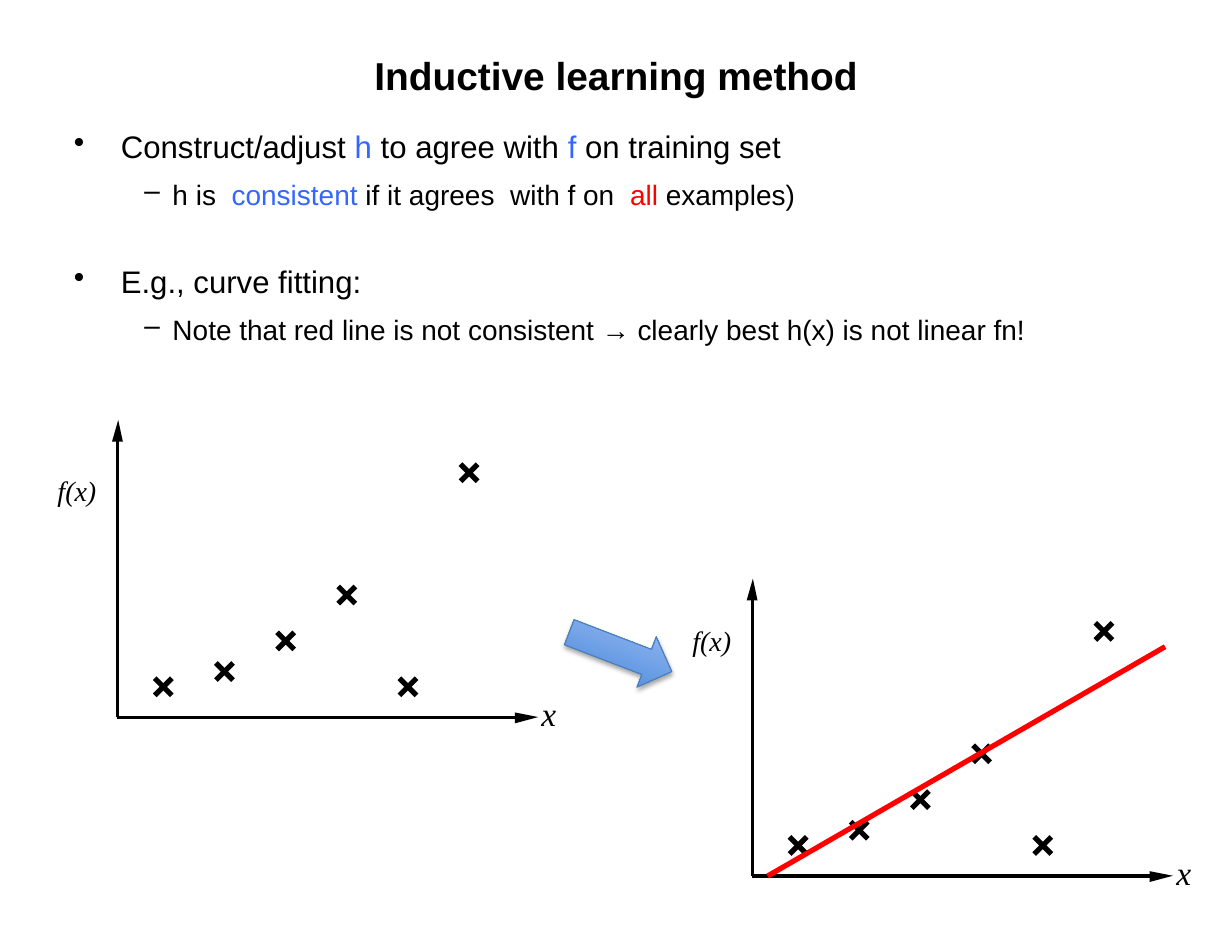
import pptx
import pptx.util
import pptx.dml.color
import pptx.enum.dml
import pptx.enum.shapes
import pptx.enum.text
import pptx.oxml
import pptx.oxml.ns
from lxml import etree

Pt = pptx.util.Pt
COLORS = {"black": "000000", "blue": "3366FF", "red": "FF0000",
          "arrow_start": "3F80CE", "arrow_end": "A4C4FF", "arrow_edge": "4B7EBC"}
UNIT = 9.83  # plot grid step
AXIS_WIDTH, HEAVY_WIDTH = 2.23, 3.35
HEAD_LENGTH, HEAD_HALF, HEAD_OVERHANG = 14.6, 3.6, 4.6
POINTS = [(3, 2), (7, 3), (11, 5), (15, 8), (19, 2), (23, 16)]
# level: (bullet, left margin, hanging indent, space before, font size)
LEVELS = [("•", 30.2, 30.2, 4, 20), ("–", 63.4, 18, 8, 18)]
SECTION_GAP = 33
BODY = [
    (0, [("Construct/adjust ", "black"), ("h", "blue"), (" to agree with ", "black"),
         ("f", "blue"), (" on training set", "black")]),
    (1, [("h is  ", "black"), ("consistent", "blue"),
         (" if it agrees  with f on  ", "black"), ("all", "red"),
         (" examples)", "black")]),
    (0, [("E.g., curve fitting:", "black")]),
    (1, [("Note that red line is not consistent → clearly best h(x) is not linear fn!",
          "black")]),
]


def rgb(name):
    return pptx.dml.color.RGBColor.from_string(COLORS[name])


def add_text_box(slide, left, top, width, height, inset=(7.2, 3.6), wrap=True):
    box = slide.shapes.add_textbox(Pt(left), Pt(top), Pt(width), Pt(height))
    frame = box.text_frame
    frame.word_wrap = wrap
    frame.margin_left = frame.margin_right = Pt(inset[0])
    frame.margin_top = frame.margin_bottom = Pt(inset[1])
    return frame


def set_font(paragraph, name, size, bold=False, italic=False):
    font = paragraph.font
    font.name, font.size, font.bold, font.italic = name, Pt(size), bold, italic
    font.color.rgb = rgb("black")


def add_title(slide, text):
    frame = add_text_box(slide, 39.6, 24.5, 712.8, 47.5, (7.9, 4.3))
    frame.vertical_anchor = pptx.enum.text.MSO_ANCHOR.MIDDLE
    paragraph = frame.paragraphs[0]
    paragraph.text = text
    paragraph.alignment = pptx.enum.text.PP_ALIGN.CENTER
    set_font(paragraph, "Arial", 25, bold=True)


def add_body(slide):
    frame = add_text_box(slide, 39.6, 77.8, 712.8, 468.7, (7.9, 4.3))
    for index, (level, runs) in enumerate(BODY):
        paragraph = frame.add_paragraph() if index else frame.paragraphs[0]
        bullet, margin, hanging, space, size = LEVELS[level]
        paragraph.level = level
        paragraph.space_before = Pt(SECTION_GAP if index and level == 0 else space)
        properties = paragraph._p.get_or_add_pPr()
        properties.set("marL", str(Pt(margin)))
        properties.set("indent", str(-Pt(hanging)))
        etree.SubElement(properties, pptx.oxml.ns.qn("a:buChar"), char=bullet)
        set_font(paragraph, "Arial", size)
        for text, color in runs:
            run = paragraph.add_run()
            run.text = text
            run.font.color.rgb = rgb(color)


def add_label(slide, text, left, top, width, height, size, inset):
    frame = add_text_box(slide, left, top, width, height, inset, wrap=False)
    frame.paragraphs[0].text = text
    set_font(frame.paragraphs[0], "Times New Roman", size, italic=True)


def add_line(slide, start, end, width, color="black"):
    line = slide.shapes.add_connector(
        pptx.enum.shapes.MSO_CONNECTOR.STRAIGHT, *(Pt(value) for value in start + end))
    line.line.width = Pt(width)
    line.line.color.rgb = rgb(color)
    etree.SubElement(line._element.spPr, pptx.oxml.ns.qn("a:effectLst"))


def add_axis(slide, origin, direction, length):
    """Draw an axis and its arrowhead; direction is a unit vector."""
    (x, y), (dx, dy) = origin, direction
    add_line(slide, origin, (x + dx * length, y + dy * length), AXIS_WIDTH)
    tip = length + HEAD_OVERHANG
    base = tip - HEAD_LENGTH
    corners = [(x + dx * along + dy * across, y + dy * along + dx * across)
               for along, across in ((base, -HEAD_HALF), (base, HEAD_HALF), (tip, 0))]
    builder = slide.shapes.build_freeform(*corners[0], scale=Pt(1))
    builder.add_line_segments(corners[1:], close=True)
    head = builder.convert_to_shape()
    head.shadow.inherit = False
    head.fill.solid()
    head.fill.fore_color.rgb = rgb("black")
    head.line.fill.background()


def add_cross(slide, x, y, half=5.5):
    for slope in (1, -1):
        add_line(slide, (x - half, y - slope * half), (x + half, y + slope * half),
                 HEAVY_WIDTH)


def add_plot(slide, x, y, label_top, fitted=False):
    def place(column, row):
        return x + column * UNIT, y - row * UNIT

    add_axis(slide, (x, y), (0, -1), 19 * UNIT)
    add_axis(slide, (x, y), (1, 0), 27 * UNIT)
    for point in POINTS:
        add_cross(slide, *place(*point))
    if fitted:
        add_line(slide, place(1, 0), place(27, 15), HEAVY_WIDTH, "red")
    add_label(slide, "x", x + 272.6, y - 15.6, 11.5, 26.6, 21.5, (0, 0))
    add_label(slide, "f(x)", x - 45.6, label_top, 43.2, 28.8, 18, (7.2, 3.6))


def add_block_arrow(slide):
    arrow = slide.shapes.add_shape(pptx.enum.shapes.MSO_SHAPE.RIGHT_ARROW,
                                   Pt(363.6), Pt(401.8), Pt(70.6), Pt(34.6))
    arrow.rotation = 21
    arrow.fill.gradient()
    arrow.fill.gradient_angle = 90
    for stop, color in zip(arrow.fill.gradient_stops, ("arrow_start", "arrow_end")):
        stop.color.rgb = rgb(color)
    arrow.line.color.rgb = rgb("arrow_edge")
    arrow.line.width = Pt(0.75)
    # Soft shadow straight below
    arrow.shadow.inherit = False
    effects = arrow._element.spPr.find(pptx.oxml.ns.qn("a:effectLst"))
    effects.append(pptx.oxml.parse_xml(
        f'<a:outerShdw {pptx.oxml.ns.nsdecls("a")} blurRad="{Pt(3.1)}" '
        f'dist="{Pt(1.8)}" dir="5400000" rotWithShape="0">'
        f'<a:srgbClr val="{COLORS["black"]}"><a:alpha val="35000"/></a:srgbClr>'
        '</a:outerShdw>'))


def main():
    presentation = pptx.Presentation()
    presentation.slide_width, presentation.slide_height = Pt(792), Pt(612)
    slide = presentation.slides.add_slide(presentation.slide_layouts[6])
    # Text
    add_title(slide, "Inductive learning method")
    add_body(slide)
    # Data alone, then data with the fitted line
    add_plot(slide, 75.5, 461.2, 301)
    add_plot(slide, 483.6, 563.2, 397.4, fitted=True)
    add_block_arrow(slide)
    presentation.save("out.pptx")


if __name__ == "__main__":
    main()
